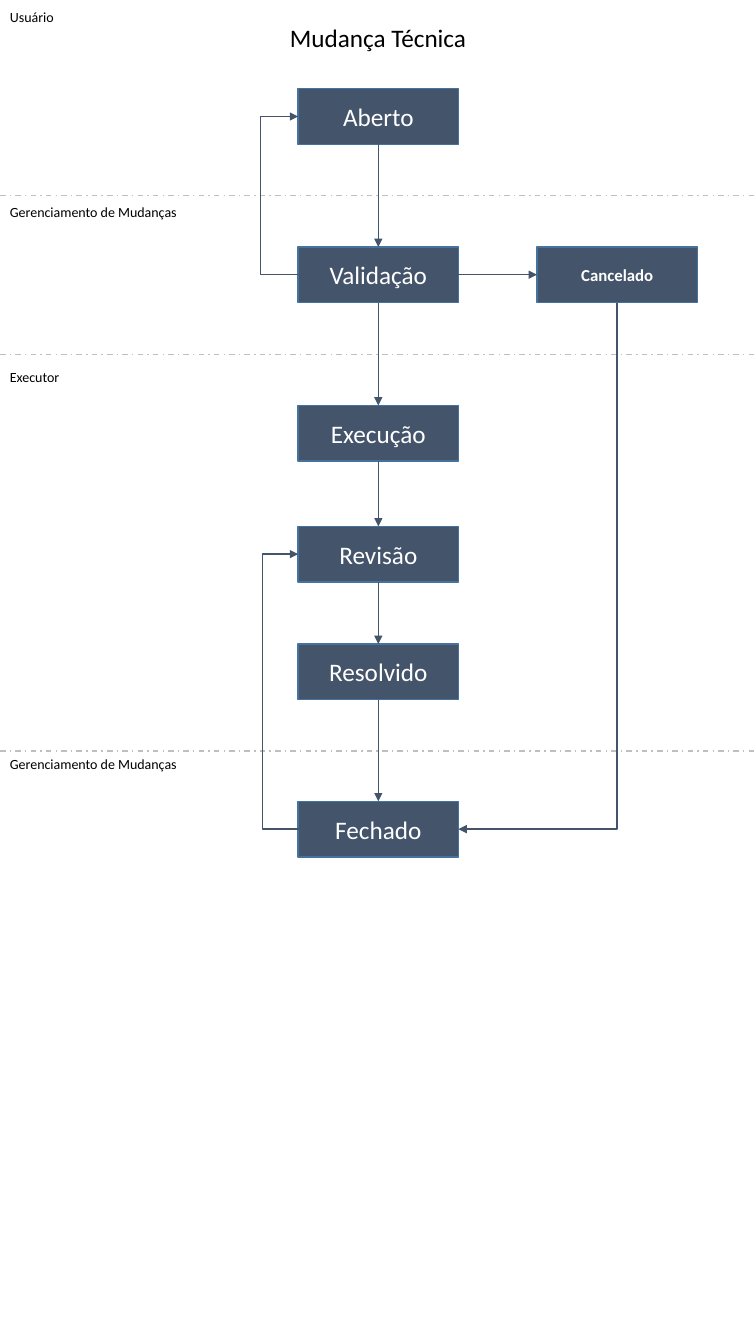
from itertools import pairwise

from lxml import etree
from pptx import Presentation
from pptx.dml.color import RGBColor
from pptx.enum.dml import MSO_LINE
from pptx.enum.shapes import MSO_CONNECTOR, MSO_SHAPE
from pptx.enum.text import MSO_ANCHOR, MSO_AUTO_SIZE, PP_ALIGN
from pptx.oxml.ns import qn
from pptx.util import Pt

STRAIGHT, ELBOW = MSO_CONNECTOR.STRAIGHT, MSO_CONNECTOR.ELBOW
RECT, DASH_DOT = MSO_SHAPE.RECTANGLE, MSO_LINE.DASH_DOT
LEFT, CENTER = PP_ALIGN.LEFT, PP_ALIGN.CENTER
MIDDLE, FIT = MSO_ANCHOR.MIDDLE, MSO_AUTO_SIZE.SHAPE_TO_FIT_TEXT
TOP_SITE, LEFT_SITE, BOTTOM_SITE, RIGHT_SITE = range(4)

COLORS = {"box": "44546A", "edge": "43739E", "lane": "BFBFBF",
          "text": "000000", "light": "FFFFFF"}
COLORS = {name: RGBColor.from_string(code) for name, code in COLORS.items()}

WIDTH, HEIGHT = 540, 960
BOX_W, BOX_H = 114.5, 39.7
MAIN_X, SIDE_X = 213, 383.6

prs = Presentation()
prs.slide_width, prs.slide_height = Pt(WIDTH), Pt(HEIGHT)
slide = prs.slides.add_slide(prs.slide_layouts[6])
shapes = slide.shapes


def write(shape, text, size=18, color="text", bold=False, align=CENTER):
    para = shape.text_frame.paragraphs[0]
    para.alignment = align
    run = para.add_run()
    run.text = text
    run.font.name = "Calibri"
    run.font.size = Pt(size)
    run.font.bold = bold
    run.font.color.rgb = COLORS[color]


def link(x1, y1, x2, y2, kind=STRAIGHT, color="box", arrow=True):
    line = shapes.add_connector(kind, Pt(x1), Pt(y1), Pt(x2), Pt(y2))
    line.line.color.rgb = COLORS[color]
    line.line.width = Pt(1)
    if arrow:
        etree.SubElement(line.line._get_or_add_ln(), qn("a:tailEnd"), type="triangle")
    etree.SubElement(line._element.spPr, qn("a:effectLst"))
    return line


# Lanes
for y in (139.7, 253.4, 536.4):
    lane = link(0, y, WIDTH, y, color="lane", arrow=False)
    lane.line.dash_style = DASH_DOT

title = shapes.add_textbox(0, Pt(12.2), Pt(WIDTH), Pt(29))
title.text_frame.word_wrap = True
title.text_frame.auto_size = FIT
write(title, "Mudança Técnica")

for text, y, width in (
    ("Usuário", 2.2, 46),
    ("Gerenciamento de Mudanças", 141.8, 135.4),
    ("Executor", 259.9, 51),
    ("Gerenciamento de Mudanças", 536.4, 135.4),
):
    label = shapes.add_textbox(0, Pt(y), Pt(width), Pt(19.4))
    label.text_frame.word_wrap = False
    label.text_frame.auto_size = FIT
    write(label, text, size=10, align=LEFT)

# Steps
steps = {}
for text, x, y, size, bold in (
    ("Aberto", MAIN_X, 63.4, 18, False),
    ("Validação", MAIN_X, 176.4, 18, False),
    ("Execução", MAIN_X, 289.6, 18, False),
    ("Revisão", MAIN_X, 376, 18, False),
    ("Resolvido", MAIN_X, 460, 18, False),
    ("Fechado", MAIN_X, 572.4, 18, False),
    ("Cancelado", SIDE_X, 176.4, 12, True),
):
    box = shapes.add_shape(RECT, Pt(x), Pt(y), Pt(BOX_W), Pt(BOX_H))
    box.shadow.inherit = False
    box.fill.solid()
    box.fill.fore_color.rgb = COLORS["box"]
    box.line.color.rgb = COLORS["edge"]
    box.line.width = Pt(1)
    box.text_frame.vertical_anchor = MIDDLE
    write(box, text, size=size, color="light", bold=bold)
    steps[text] = box

# Straight arrows
main = [box for text, box in steps.items() if text != "Cancelado"]
joins = [(a, BOTTOM_SITE, b, TOP_SITE) for a, b in pairwise(main)]
joins.append((steps["Validação"], RIGHT_SITE, steps["Cancelado"], LEFT_SITE))
for start, out, end, into in joins:
    arrow = link(0, 0, 0, 0)
    arrow.begin_connect(start, out)
    arrow.end_connect(end, into)

# Return loops: the bend lies left of the one-point-wide connector
for start, end, bend in (("Fechado", "Revisão", 187.2), ("Validação", "Aberto", 185.8)):
    y1, y2 = (steps[name].top.pt + BOX_H / 2 for name in (start, end))
    loop = link(MAIN_X + 1, y1, MAIN_X, y2, ELBOW)
    guides = loop._element.spPr.find(qn("a:prstGeom")).get_or_add_avLst()
    ratio = round((MAIN_X + 1 - bend) * 100000)
    etree.SubElement(guides, qn("a:gd"), name="adj1", fmla=f"val {ratio}")

# Cancelado to Fechado: a single bend, turned a quarter so it starts downwards
x1, y1 = SIDE_X + BOX_W / 2, steps["Cancelado"].top.pt + BOX_H
x2, y2 = MAIN_X + BOX_W, steps["Fechado"].top.pt + BOX_H / 2
mid_x, mid_y = (x1 + x2) / 2, (y1 + y2) / 2
half_w, half_h = (y2 - y1) / 2, (x1 - x2) / 2
close = link(mid_x - half_w, mid_y - half_h, mid_x + half_w, mid_y + half_h, ELBOW)
close._element.spPr.find(qn("a:xfrm")).set("rot", "5400000")
close._element.spPr.find(qn("a:prstGeom")).set("prst", "bentConnector2")

prs.save("out.pptx")
